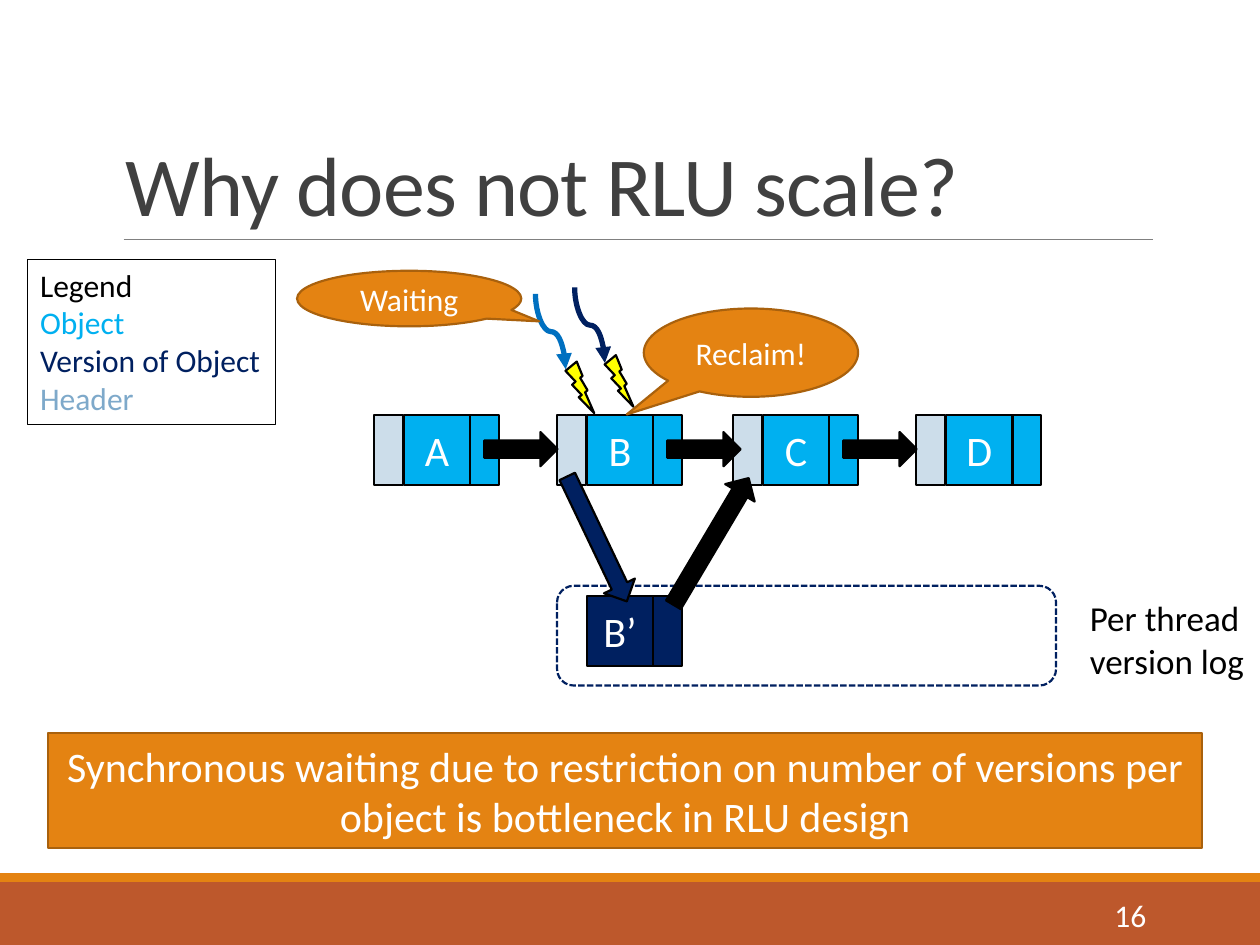
import pptx
import pptx.util
import pptx.dml.color
import pptx.enum.dml
import pptx.enum.shapes
import pptx.enum.text
import lxml.etree

Cm, Pt = pptx.util.Cm, pptx.util.Pt
Kind = pptx.enum.shapes.MSO_SHAPE
Link = pptx.enum.shapes.MSO_CONNECTOR
Align = pptx.enum.text.PP_ALIGN
Anchor = pptx.enum.text.MSO_ANCHOR
rgb = pptx.dml.color.RGBColor.from_string


class Theme:
    font = "Calibri"
    white, black, gray, rule = "FFFFFF", "000000", "404040", "808080"
    orange, edge, rust = "E48312", "A9610D", "BD582C"
    sky, navy, blue = "00B0F0", "002060", "0070C0"
    pale, steel, yellow = "CCDDEA", "7EA9CA", "FFFF00"
    title, large, label, small = 48, 24, 20, 18


deck = pptx.Presentation()
deck.slide_width, deck.slide_height = Cm(25.4), Cm(19.05)
slide = deck.slides.add_slide(deck.slide_layouts[6])
shapes = slide.shapes


def draw(kind, box, fill, line=Theme.black, width=1.25, turn=0):
    shape = shapes.add_shape(kind, *map(Cm, box))
    shape.shadow.inherit = False
    shape.rotation = turn
    if fill:
        shape.fill.solid()
        shape.fill.fore_color.rgb = rgb(fill)
    else:
        shape.fill.background()
    if line:
        shape.line.color.rgb = rgb(line)
        shape.line.width = Pt(width)
    else:
        shape.line.fill.background()
    return shape


def write(shape, rows, size, align=Align.CENTER, anchor=Anchor.MIDDLE):
    frame = shape.text_frame
    frame.word_wrap = True
    frame.vertical_anchor = anchor
    frame.text = "\n".join(text for text, color in rows)
    for para, (text, color) in zip(frame.paragraphs, rows):
        para.alignment = align
        para.font.name = Theme.font
        para.font.size = Pt(size)
        para.font.color.rgb = rgb(color)
    return frame


draw(Kind.RECTANGLE, (0, 17.78, 25.4, 1.27), Theme.rust, None)
draw(Kind.RECTANGLE, (0, 17.6, 25.4, 0.18), Theme.orange, None)

title = shapes.add_textbox(Cm(2.29), Cm(0.79), Cm(20.96), Cm(4.04))
frame = write(title, [("Why does not RLU scale?", Theme.gray)], Theme.title,
              Align.LEFT, Anchor.BOTTOM)
para = frame.paragraphs[0]
para.line_spacing = 0.85
para.runs[0].font._element.set("spc", "-50")

draw(Kind.FLOWCHART_ALTERNATE_PROCESS, (11.23, 11.81, 10.06, 2.01), None,
     Theme.navy).line.dash_style = pptx.enum.dml.MSO_LINE.SQUARE_DOT

top, high = 8.36, 1.42
nodes = [("A", 7.54, top, Theme.sky), ("B", 11.23, top, Theme.sky),
         ("C", 14.78, top, Theme.sky), ("D", 18.47, top, Theme.sky),
         ("B’", 11.23, 12.01, Theme.navy)]
for name, left, y, fill in nodes:
    cell = draw(Kind.RECTANGLE, (left + 0.6, y, 1.34, high), fill)
    write(cell, [(name, Theme.white)], Theme.large)
    draw(Kind.RECTANGLE, (left + 1.94, y, 0.58, high), fill)
    if y == top:
        draw(Kind.RECTANGLE, (left, y, 0.59, high), Theme.pale)

for name, left, y, fill in nodes[:3]:
    draw(Kind.RIGHT_ARROW, (left + 2.22, 8.71, 1.48, 0.69), Theme.black)
draw(Kind.RIGHT_ARROW, (10.64, 10.52, 2.79, 0.69), Theme.navy, turn=64.5)
draw(Kind.RIGHT_ARROW, (12.85, 10.57, 2.97, 0.69), Theme.black, turn=300.7)

links = [shapes.add_connector(Link.STRAIGHT, Cm(2.49), Cm(4.83), Cm(23.24), Cm(4.83))]
links[0].line.color.rgb = rgb(Theme.rule)
links[0].line.width = Pt(0.5)
for dx, dy, color in [(0, 0, Theme.navy), (-0.79, 0.13, Theme.blue)]:
    curve = shapes.add_connector(Link.CURVE, Cm(12.65 + dx), Cm(6.25 + dy),
                                 Cm(11.13 + dx), Cm(6.86 + dy))
    curve.line.color.rgb = rgb(color)
    curve.line.width = Pt(3)
    curve._element.spPr.xfrm.set("rot", "16200000")
    tip = lxml.etree.SubElement(curve.line._get_or_add_ln(),
                                pptx.oxml.ns.qn("a:tailEnd"))
    tip.set("type", "triangle")
    links.append(curve)
    draw(Kind.LIGHTNING_BOLT, (12.19 + dx, 7.16 + dy, 0.58, 1.04), Theme.yellow)
for link in links:
    lxml.etree.SubElement(link._element.spPr, pptx.oxml.ns.qn("a:effectLst"))

for text, box, tail in [("Waiting", (5.99, 5.46, 4.52, 1.12), (0.58, 0.41)),
                        ("Reclaim!", (12.98, 6.22, 4.32, 1.78), (-0.58, 0.7))]:
    call = draw(Kind.OVAL_CALLOUT, box, Theme.orange, Theme.edge)
    call.adjustments[0], call.adjustments[1] = tail
    write(call, [(text, Theme.white)], Theme.small)

banner = draw(Kind.RECTANGLE, (0.97, 14.78, 23.27, 2.31), Theme.orange, Theme.edge)
write(banner, [("Synchronous waiting due to restriction on number of versions "
                "per object is bottleneck in RLU design", Theme.white)], Theme.large)

note = shapes.add_textbox(Cm(21.72), Cm(11.91), Cm(3.68), Cm(1.96))
write(note, [("Per thread version log", Theme.black)], Theme.label,
      Align.LEFT, Anchor.TOP)
page = shapes.add_textbox(Cm(20.62), Cm(17.93), Cm(2.74), Cm(1.02))
write(page, [("16", Theme.white)], Theme.small, Align.RIGHT)

legend = draw(Kind.RECTANGLE, (0.56, 5.23, 5, 3.33), None, width=0.75)
write(legend, [("Legend", Theme.black), ("Object", Theme.sky),
               ("Version of Object", Theme.navy), ("Header", Theme.steel)],
      Theme.small, Align.LEFT, Anchor.TOP)

deck.save("out.pptx")
